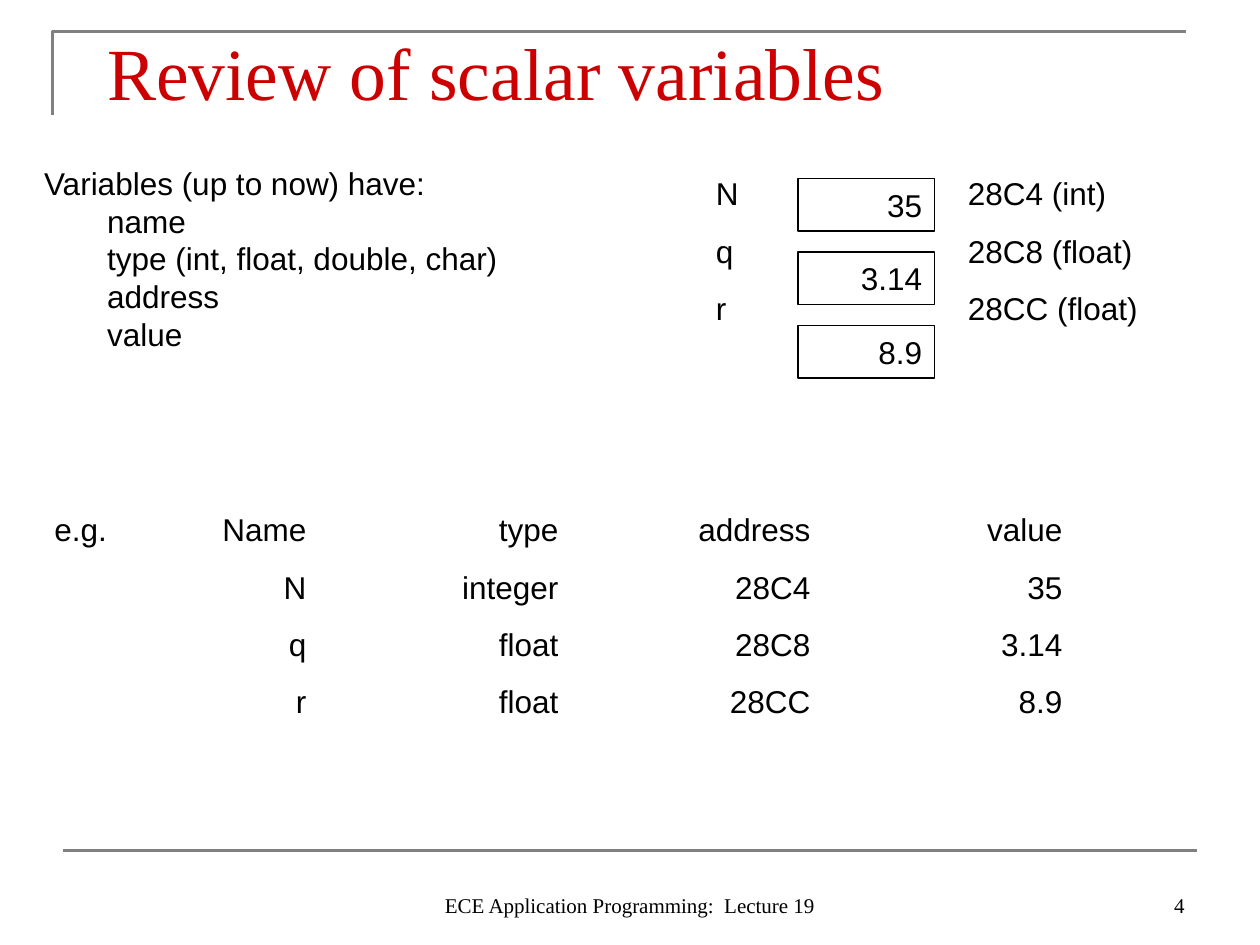
from lxml.etree import SubElement
from pptx import Presentation
from pptx.dml.color import RGBColor
from pptx.enum.shapes import MSO_CONNECTOR, MSO_SHAPE
from pptx.enum.text import MSO_ANCHOR as Anchor, MSO_AUTO_SIZE, PP_ALIGN as Align
from pptx.oxml.ns import qn
from pptx.util import Inches, Pt

BLACK = RGBColor(0x00, 0x00, 0x00)
GRAY = RGBColor(0x80, 0x80, 0x80)
RED = RGBColor(0xCC, 0x00, 0x00)
SANS, SERIF = "Arial", "Times New Roman"

presentation = Presentation()
presentation.slide_width, presentation.slide_height = Inches(10), Inches(7.5)
slide = presentation.slides.add_slide(presentation.slide_layouts[1])
shapes = slide.shapes
UNIT = presentation.slide_width // 120  # the grid has 120 columns and 90 rows


def place(shape, column, row, columns, rows):
    shape.left, shape.top = int(column * UNIT), int(row * UNIT)
    shape.width, shape.height = int(columns * UNIT), int(rows * UNIT)


def write(shape, lines, font=SANS, size=18, color=BLACK, align=Align.LEFT,
          anchor=Anchor.TOP, tabs=(), wrap=True):
    frame = shape.text_frame
    frame.text = "\n".join(lines)
    frame.auto_size = MSO_AUTO_SIZE.NONE
    frame.word_wrap = wrap
    frame.vertical_anchor = anchor
    for index, paragraph in enumerate(frame.paragraphs):
        properties = paragraph._p.get_or_add_pPr()
        if shape.is_placeholder:  # clear the template's bullet and indent
            properties.set("marL", "0")
            properties.set("indent", "0")
            SubElement(properties, qn("a:buNone"))
        if tabs:
            tab_list = SubElement(properties, qn("a:tabLst"))
            for position, side in tabs:
                SubElement(tab_list, qn("a:tab"), pos=str(Inches(position)), algn=side)
        paragraph.alignment = align
        paragraph.space_before = Pt(11.2 if index else 0)
        paragraph.font.name = font
        paragraph.font.size = Pt(size)
        paragraph.font.color.rgb = color


# Frame lines: corner at the top, rule above the footer
builder = shapes.build_freeform(5 * UNIT, 11 * UNIT)
builder.add_line_segments([(5 * UNIT, 3 * UNIT), (113 * UNIT, 3 * UNIT)], close=False)
corner = builder.convert_to_shape()
corner.shadow.inherit = False
corner.fill.background()
rule = shapes.add_connector(MSO_CONNECTOR.STRAIGHT, 6 * UNIT, 81 * UNIT, 114 * UNIT, 81 * UNIT)
SubElement(rule._element.spPr, qn("a:effectLst"))
for edge in (corner, rule):
    edge.line.color.rgb = GRAY
    edge.line.width = Pt(1.5)

# Title
title = shapes.title
place(title, 9, 2, 102, 7)
write(title, ["Review of scalar variables"], SERIF, 42, RED)

# What a variable has: one paragraph with line breaks
properties_list = slide.placeholders[1]
place(properties_list, 3, 15, 59, 19.2)
write(properties_list,
      ["Variables (up to now) have:\v\tname\v\ttype (int, float, double, char)"
       "\v\taddress\v\tvalue"],
      tabs=[(0.5, "l"), (1, "l")])

# Memory: names and addresses, with a box for each value
variables = [("N", "integer", "int", "28C4", "35"),
             ("q", "float", "float", "28C8", "3.14"),
             ("r", "float", "float", "28CC", "8.9")]
memory = shapes.add_textbox(0, 0, 0, 0)
place(memory, 67, 16, 50, 15.8)
write(memory, [f"{name}\t\t{address} ({keyword})" for name, _, keyword, address, _ in variables],
      tabs=[(1, "l"), (2, "l")])

for index, variable in enumerate(variables):
    cell = shapes.add_shape(MSO_SHAPE.RECTANGLE, 0, 0, 0, 0)
    place(cell, 76, 17 + 7 * index, 13, 5)
    cell.shadow.inherit = False
    cell.fill.background()
    cell.line.color.rgb = BLACK
    cell.line.width = Pt(0.75)
    write(cell, [variable[-1]], align=Align.RIGHT, anchor=Anchor.MIDDLE, wrap=False)

# Example, lined up with right tabs
example = shapes.add_textbox(0, 0, 0, 0)
place(example, 4, 48, 110, 21.2)
write(example,
      ["e.g.\tName\ttype\taddress\tvalue"]
      + [f"\t{name}\t{kind}\t{address}\t{value}" for name, kind, _, address, value in variables],
      tabs=[(position, "r") for position in (2, 4, 6, 8)])

# Footer and slide number
for text, column, columns, align in [("4", 86, 28, Align.RIGHT),
                                     ("ECE Application Programming:  Lecture 19", 41, 38, Align.CENTER)]:
    footer = shapes.add_textbox(0, 0, 0, 0)
    place(footer, column, 82, columns, 6)
    write(footer, [text], SERIF, 12, align=align, anchor=Anchor.BOTTOM)

presentation.save("out.pptx")
